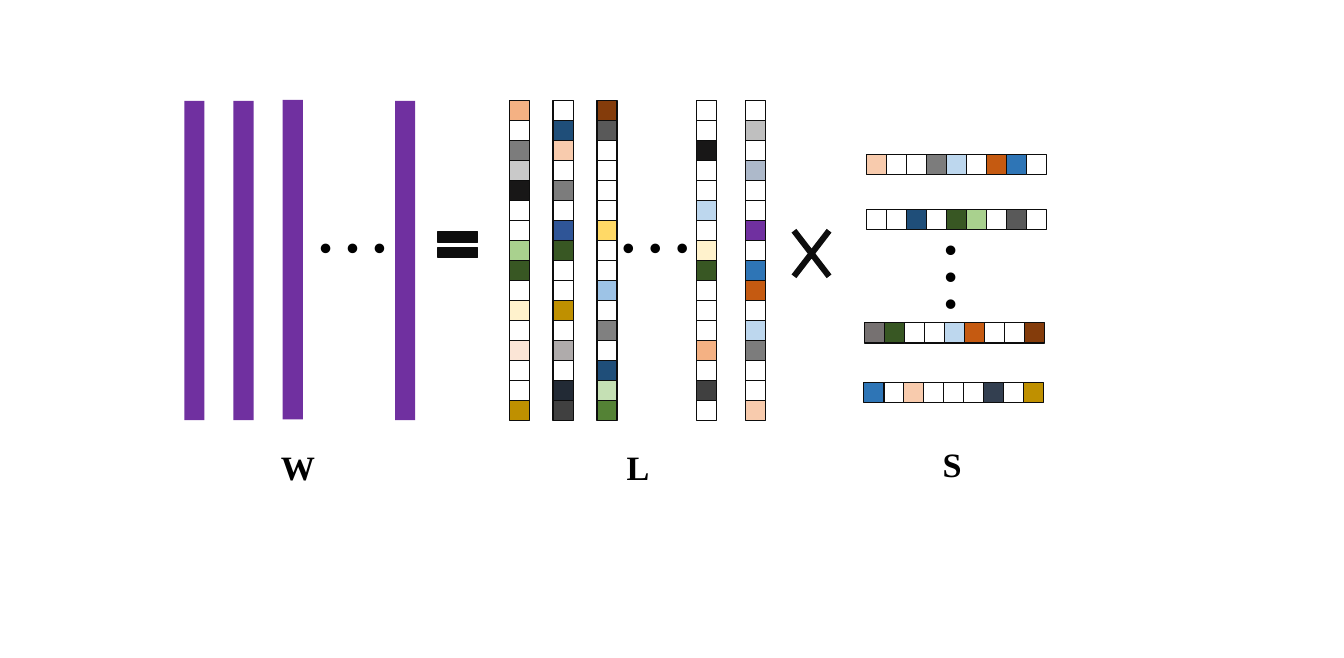
from pptx import Presentation
from pptx import util as u
from pptx.dml.color import RGBColor
from pptx.enum import shapes, text

# Content: colours, then cells top to bottom (L) or left to right (S); "-" is unfilled
COLORS = {
    "white": "FFFFFF", "black": "000000", "ink": "0D0D0D", "coal": "181717",
    "char": "404040", "slate": "595959", "gray": "7C7C7C", "mid": "808080",
    "stone": "767171", "ash": "AFABAB", "silver": "BFBFBF", "pale": "C9C9C9",
    "steel": "ADB9CA", "dusk": "333F50", "night": "222A35",
    "purple": "7030A0", "navy": "1F4E79", "royal": "2F5597", "blue": "2E75B6",
    "sky": "9DC3E6", "ice": "BDD7EE",
    "forest": "385723", "green": "548235", "leaf": "A9D18E", "mint": "C5E0B4",
    "gold": "BF9000", "yellow": "FFD966", "cream": "FFF2CC",
    "brown": "843C0B", "rust": "C55A11", "orange": "F4B183", "peach": "F8CBAD",
    "blush": "FBE5D6",
}
W_BARS = [(2.1, 1.15), (2.66, 1.15), (3.22, 1.14), (4.5, 1.15)]
L_COLS = [
    (5.8, "orange white gray pale coal white white leaf "
          "forest white cream white blush white white gold"),
    (6.3, "white navy peach white gray white royal forest "
          "white white gold white ash white night char"),
    (6.8, "brown slate white white white white yellow white "
          "white sky white mid white navy mint green"),
    (7.93, "white white coal white white ice white cream "
           "forest white white white orange white char white"),
    (8.49, "white silver white steel white white purple white "
           "blue rust white ice gray white white peach"),
]
S_ROWS = [
    (9.87, 1.76, "peach white white gray ice white rust blue white"),
    (9.87, 2.39, "- - navy - forest leaf - slate -"),
    (9.85, 3.68, "stone forest - - ice rust - - brown"),
    (9.84, 4.36, "blue - peach - - - dusk - gold"),
]
DOTS = [(3.46, 1.91, 2.65, 0), (6.91, 1.91, 2.06, 0), (10.12, 3.03, 2.06, 90)]
LABELS = [("W", 3.1, 5.04), ("L", 7.04, 5.04), ("S", 10.64, 5)]

FONT = "Times New Roman"
TOP, SIDE, TALL = 1.15, 0.23, 3.64
STEP = TALL / 16

deck = Presentation()
deck.slide_width, deck.slide_height = u.Inches(15.31), u.Inches(7.5)
slide = deck.slides.add_slide(deck.slide_layouts[6])


def color(name):
    return RGBColor.from_string(COLORS[name])


def add_form(home, kind, box, fill, line=None):
    form = home.shapes.add_shape(kind, *map(u.Inches, box))
    form.shadow.inherit = False
    if fill == "-":
        form.fill.background()
    else:
        form.fill.solid()
        form.fill.fore_color.rgb = color(fill)
    if line:
        form.line.color.rgb = color(line)
        form.line.width = u.Pt(1)
    else:
        form.line.fill.background()
    return form


def add_strip(left, top, cells, dx, dy):
    group = slide.shapes.add_group_shape()
    for i, fill in enumerate(cells.split()):
        box = (left + i * dx, top + i * dy, SIDE, SIDE)
        add_form(group, shapes.MSO_SHAPE.RECTANGLE, box, fill, "ink")


def add_words(words, box, size, bold=False, turn=0):
    frame = slide.shapes.add_textbox(*map(u.Inches, box))
    frame.rotation = turn
    body = frame.text_frame
    body.word_wrap = True
    body.auto_size = text.MSO_AUTO_SIZE.SHAPE_TO_FIT_TEXT
    run = body.paragraphs[0].add_run()
    run.text = words
    run.font.name, run.font.size, run.font.bold = FONT, u.Pt(size), bold
    run.font.color.rgb = color("black")


# Ellipses between the strips
for left, top, width, turn in DOTS:
    add_words("…", (left, top, width, 1.21), 66, turn=turn)

# Matrix W
for left, top in W_BARS:
    add_form(slide, shapes.MSO_SHAPE.RECTANGLE, (left, top, SIDE, TALL), "purple")

# Matrices L and S
for left, cells in L_COLS:
    add_strip(left, TOP, cells, 0, STEP)
for left, top, cells in S_ROWS:
    add_strip(left, top, cells, STEP, 0)

# Operators
add_form(slide, shapes.MSO_SHAPE.MATH_EQUAL, (4.91, 2.54, 0.61, 0.5), "ink", "ink")
times = add_form(slide, shapes.MSO_SHAPE.MATH_MULTIPLY, (8.86, 2.39, 0.77, 1), "ink")
times.adjustments[0] = 0.09

# Matrix names
for name, left, top in LABELS:
    add_words(name, (left, top, 2.82, 0.57), 28, bold=True)

deck.save("out.pptx")
